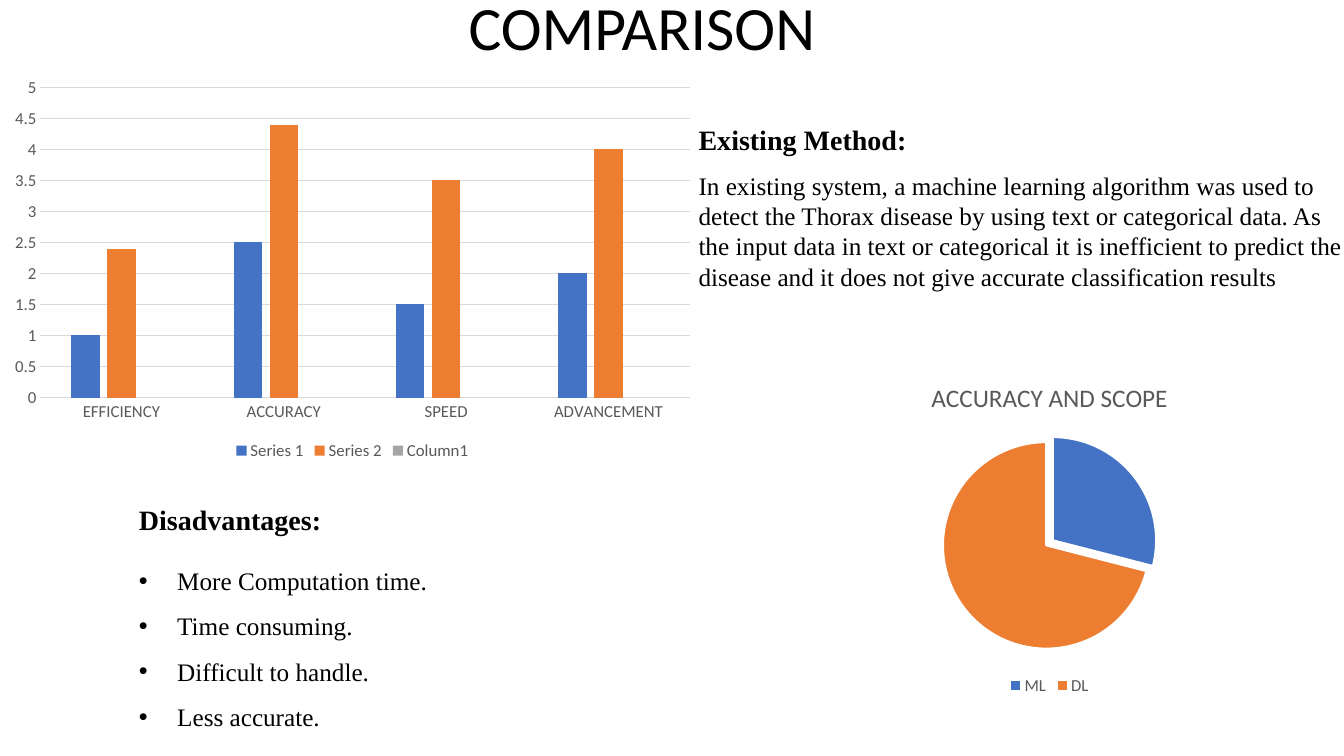
from lxml.etree import SubElement
from pptx import Presentation
from pptx.chart.data import CategoryChartData
from pptx.dml.color import RGBColor
from pptx.enum.chart import XL_CHART_TYPE, XL_LEGEND_POSITION, XL_TICK_MARK
from pptx.enum.text import MSO_AUTO_SIZE, PP_ALIGN
from pptx.oxml.ns import qn
from pptx.util import Inches, Pt

COLORS = {
    "black": "000000",
    "white": "FFFFFF",
    "label": "595959",
    "grid": "D9D9D9",
    "blue": "4472C4",
    "orange": "ED7D31",
    "gray": "A5A5A5",
}
SERIF = "Times New Roman"
SANS = "Calibri"
METHOD = (
    "In existing system, a machine learning algorithm was used to detect the "
    "Thorax disease by using text or categorical data. As the input data in text "
    "or categorical it is inefficient to predict the disease and it does not give "
    "accurate classification results"
)
DISADVANTAGES = [
    "More Computation time.",
    "Time consuming.",
    "Difficult to handle.",
    "Less accurate.",
]


def rgb(name):
    return RGBColor.from_string(COLORS[name])


def style_font(font, size, name=SANS, color="black", bold=False):
    font.size = Pt(size)
    font.name = name
    font.bold = bold
    font.color.rgb = rgb(color)


def add_box(s, left, top, width, height):
    tf = s.shapes.add_textbox(*map(Inches, (left, top, width, height))).text_frame
    tf.word_wrap = True
    tf.auto_size = MSO_AUTO_SIZE.SHAPE_TO_FIT_TEXT
    return tf


def add_paragraph(tf, text, size, name=SERIF, bold=False, justify=False,
                  spacing=None, after=0, bullet=False):
    p = tf.add_paragraph() if tf.paragraphs[0].runs else tf.paragraphs[0]
    if justify:
        p.alignment = PP_ALIGN.JUSTIFY
    if spacing:
        p.line_spacing = spacing
    p.space_after = Pt(after)
    if bullet:
        pPr = p._p.get_or_add_pPr()
        pPr.set("marL", str(Inches(0.38)))
        pPr.set("indent", str(-Inches(0.38)))
        SubElement(pPr, qn("a:buFont"), typeface="Arial")
        SubElement(pPr, qn("a:buChar"), char="•")
    r = p.add_run()
    r.text = text
    style_font(r.font, size, name, bold=bold)


def add_heading(tf, text):
    add_paragraph(tf, text, 20, bold=True, justify=True, spacing=1.5, after=10)


def add_chart(s, kind, box, categories, series):
    data = CategoryChartData()
    data.categories = categories
    for name, values in series:
        data.add_series(name, values)
    chart = s.shapes.add_chart(kind, *map(Inches, box), data).chart
    style_font(chart.font, 10)
    chart.has_legend = True
    chart.legend.position = XL_LEGEND_POSITION.BOTTOM
    chart.legend.include_in_layout = False
    style_font(chart.legend.font, 12, color="label")
    return chart


def fill(part, color):
    part.format.fill.solid()
    part.format.fill.fore_color.rgb = rgb(color)


def style_axis(axis):
    axis.major_tick_mark = XL_TICK_MARK.NONE
    axis.minor_tick_mark = XL_TICK_MARK.NONE
    style_font(axis.tick_labels.font, 12, color="label")


def style_line(line, color, width):
    line.color.rgb = rgb(color)
    line.width = Pt(width)


def add_comparison_columns(s):
    chart = add_chart(
        s, XL_CHART_TYPE.COLUMN_CLUSTERED, (0.01, 0.69, 6.97, 3.92),
        ["EFFICIENCY", "ACCURACY", "SPEED", "ADVANCEMENT"],
        [("Series 1", [1, 2.5, 1.5, 2]),
         ("Series 2", [2.4, 4.4, 3.5, 4]),
         ("Column1", [None] * 4)],
    )
    chart.has_title = False
    plot = chart.plots[0]
    plot.gap_width = 219
    plot.overlap = -27
    plot.vary_by_categories = False
    for ser, color in zip(plot.series, ("blue", "orange", "gray")):
        fill(ser, color)
    style_axis(chart.category_axis)
    style_line(chart.category_axis.format.line, "grid", 0.75)
    axis = chart.value_axis
    style_axis(axis)
    axis.minimum_scale, axis.maximum_scale, axis.major_unit = 0, 5, 0.5
    axis.format.line.fill.background()
    style_line(axis.major_gridlines.format.line, "grid", 0.75)


def add_accuracy_pie(s):
    chart = add_chart(
        s, XL_CHART_TYPE.PIE, (7.61, 3.61, 5.6, 3.33),
        ["ML", "DL"], [("Series 1", [29, 71])],
    )
    chart.has_title = True
    p = chart.chart_title.text_frame.paragraphs[0]
    r = p.add_run()
    r.text = "ACCURACY AND SCOPE"
    style_font(r.font, 18, color="label")
    chart.chart_title.include_in_layout = False
    plot = chart.plots[0]
    plot.vary_by_categories = True
    ser = plot.series[0]
    for i, color in enumerate(("blue", "orange")):
        point = ser.points[i]
        fill(point, color)
        style_line(point.format.line, "white", 1.5)
    explosion = SubElement(ser._element, qn("c:explosion"), val="4")
    ser._element.find(qn("c:dPt")).addprevious(explosion)


def main():
    prs = Presentation()
    prs.slide_width, prs.slide_height = Inches(13.33), Inches(7.5)
    s = prs.slides.add_slide(prs.slide_layouts[6])

    title = add_box(s, 4.55, -0.16, 6.67, 0.84)
    add_paragraph(title, "COMPARISON", 44, SANS)

    add_comparison_columns(s)
    add_accuracy_pie(s)

    method = add_box(s, 6.83, 1, 6.67, 1.96)
    add_heading(method, "Existing Method:")
    add_paragraph(method, METHOD, 18)

    drawbacks = add_box(s, 1.28, 4.77, 6.76, 2.52)
    add_heading(drawbacks, "Disadvantages:")
    for text in DISADVANTAGES:
        add_paragraph(drawbacks, text, 18, justify=True, spacing=1.5, bullet=True)

    prs.save("out.pptx")


if __name__ == "__main__":
    main()
